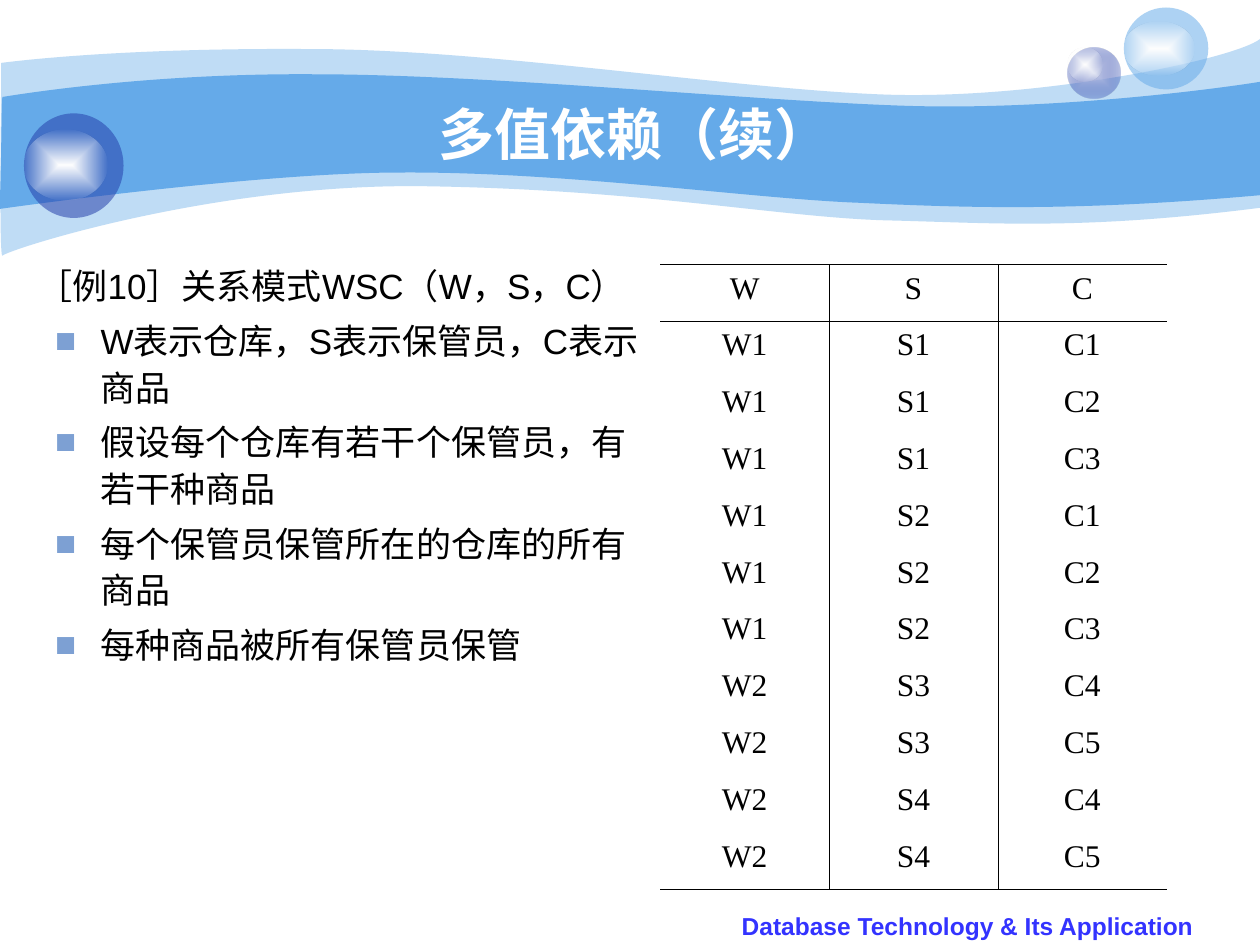
from itertools import product

from pptx import Presentation
from pptx import util as u
from pptx.dml.color import RGBColor
from pptx.enum import shapes, text
from pptx.oxml import parse_xml
from pptx.oxml.ns import nsdecls

BLACK = RGBColor(0x00, 0x00, 0x00)
WHITE = RGBColor(0xFF, 0xFF, 0xFF)
SKY = RGBColor(0x65, 0xAA, 0xE9)
NAVY = RGBColor(0x23, 0x3D, 0xA9)
LILAC = RGBColor(0xC7, 0xCE, 0xE9)
BULLET = RGBColor(0x7D, 0xA0, 0xD3)
FOOTER = RGBColor(0x33, 0x33, 0xFF)

# Each wave: start point, then Bezier curves (3 points) and straight lines (1 point).
OUTER_WAVE = (0.01, 0.5), [
    [(0.24, 0.47), (1.08, 0.38), (2.47, 0.39)],
    [(3.86, 0.39), (5.76, 0.7), (6.99, 0.75)],
    [(8.22, 0.8), (9.8, 0.47), (10, 0.31)],
    [(10, 1.65)],
    [(8.58, 1.83), (7.88, 1.77), (7.05, 1.75)],
    [(6.22, 1.73), (5.15, 1.51), (3.44, 1.48)],
    [(1.72, 1.44), (0.04, 1.99), (0.02, 2.03)],
    [(-0.01, 2.08), (0.01, 0.75), (0.01, 0.5)],
]
INNER_WAVE = (0.02, 0.77), [
    [(0.03, 0.77), (1.1, 0.58), (2.49, 0.59)],
    [(3.87, 0.59), (5.96, 0.8), (7.18, 0.84)],
    [(8.41, 0.88), (9.76, 0.69), (10, 0.65)],
    [(10, 1.55)],
    [(8.53, 1.68), (7.66, 1.65), (6.82, 1.61)],
    [(5.99, 1.58), (4.47, 1.36), (3.17, 1.37)],
    [(2.03, 1.37), (-0.02, 1.66), (-0.01, 1.66)],
    [(0.01, 1.66), (0.01, 0.77), (0.02, 0.77)],
]

INTRO = "［例10］关系模式WSC（W，S，C）"
POINTS = [
    "W表示仓库，S表示保管员，C表示商品",
    "假设每个仓库有若干个保管员，有若干种商品",
    "每个保管员保管所在的仓库的所有商品",
    "每种商品被所有保管员保管",
]
ROWS = [
    ("W", "S", "C"),
    *product(["W1"], ["S1", "S2"], ["C1", "C2", "C3"]),
    *product(["W2"], ["S3", "S4"], ["C4", "C5"]),
]


def color_xml(color, opacity):
    alpha = f'<a:alpha val="{opacity * 1000}"/>' if opacity < 100 else ""
    return f'<a:srgbClr val="{color}">{alpha}</a:srgbClr>'


def paint(sp, *stops):
    """Fill with one (colour, opacity %) or a gradient from centre to edge."""
    if len(stops) == 1:
        xml = f'<a:solidFill {nsdecls("a")}>{color_xml(*stops[0])}</a:solidFill>'
    else:
        inner, outer = (color_xml(*stop) for stop in stops)
        xml = (f'<a:gradFill {nsdecls("a")} rotWithShape="1"><a:gsLst>'
               f'<a:gs pos="0">{inner}</a:gs><a:gs pos="100000">{outer}</a:gs></a:gsLst>'
               '<a:path path="rect"><a:fillToRect l="50000" t="50000" r="50000" b="50000"/>'
               '</a:path></a:gradFill>')
    sp._element.spPr.insert(2, parse_xml(xml))
    sp.line.fill.background()
    sp.shadow.inherit = False


def bend(sp, segments):
    """Turn each run of three line steps into one Bezier curve."""
    steps = iter(sp._element.xpath(".//a:lnTo"))
    for segment in segments:
        lines = [next(steps) for _ in segment]
        if len(lines) == 3:
            curve = parse_xml(f'<a:cubicBezTo {nsdecls("a")}/>')
            lines[0].addprevious(curve)
            for line in lines:
                curve.append(line[0])
                line.getparent().remove(line)


def add_wave(s, wave, opacity):
    start, segments = wave
    points = [(u.Inches(x), u.Inches(y)) for segment in segments for x, y in segment]
    builder = s.shapes.build_freeform(*map(u.Inches, start))
    builder.add_line_segments(points, close=True)
    sp = builder.convert_to_shape()
    bend(sp, segments)
    paint(sp, (SKY, opacity))


def add_bubble(s, ball, shine, *stops):
    group = s.shapes.add_group_shape()
    for box, fill in ((ball, stops), (shine, [(WHITE, 100), (WHITE, 0)])):
        sp = group.shapes.add_shape(shapes.MSO_SHAPE.OVAL, *map(u.Inches, box))
        paint(sp, *fill)


def add_text_box(s, box, anchor=text.MSO_ANCHOR.TOP):
    tf = s.shapes.add_textbox(*map(u.Inches, box)).text_frame
    tf.word_wrap = True
    tf.vertical_anchor = anchor
    return tf


def write(p, words, color, **font):
    r = p.add_run()
    r.text = words
    r.font.color.rgb = color
    for name, value in font.items():
        setattr(r.font, name, value)


def write_line(tf, words, color, size):
    p = tf.paragraphs[0]
    p.alignment = text.PP_ALIGN.CENTER
    write(p, words, color, size=u.Pt(size), name="Arial", bold=True)


def indent(p, left, first):
    pPr = p._p.get_or_add_pPr()
    pPr.set("marL", str(u.Inches(left)))
    pPr.set("indent", str(u.Inches(first)))
    return pPr


def add_bullet(p):
    p.level = 1
    pPr = indent(p, 0.5, -0.36)
    for xml in (f'<a:buClr {nsdecls("a")}><a:srgbClr val="{BULLET}"/></a:buClr>',
                f'<a:buFont {nsdecls("a")} typeface="Arial"/>',
                f'<a:buChar {nsdecls("a")} char="■"/>'):
        pPr.append(parse_xml(xml))


def add_body(s):
    tf = add_text_box(s, (0.2, 2.02, 4.97, 4.92))
    for i, words in enumerate([INTRO, *POINTS]):
        p = tf.add_paragraph() if i else tf.paragraphs[0]
        if i:
            add_bullet(p)
            p.space_before = u.Pt(5)
        else:
            indent(p, 0.38, -0.38)
        p.line_spacing = 1.1
        write(p, words, BLACK, size=u.Pt(20), name="Arial")


def set_borders(cell, **sides):
    """Draw the sides L, R, T, B that are true and clear the others."""
    line = f'<a:solidFill><a:srgbClr val="{BLACK}"/></a:solidFill>'
    for i, (side, shown) in enumerate(sides.items()):
        xml = (f'<a:ln{side} {nsdecls("a")} w="{u.Pt(0.45)}">'
               f'{line if shown else "<a:noFill/>"}</a:ln{side}>')
        cell._tc.get_or_add_tcPr().insert(i, parse_xml(xml))


def add_relation_table(s):
    n_rows, n_cols = len(ROWS), len(ROWS[0])
    box = map(u.Inches, (5.24, 2.1, 4.02, 4.96))
    table = s.shapes.add_table(n_rows, n_cols, *box).table
    table.first_row = table.horz_banding = False
    for i, j in product(range(n_rows), range(n_cols)):
        cell = table.cell(i, j)
        cell.fill.background()
        set_borders(cell, L=j > 0, R=j < n_cols - 1, T=i < 2, B=i in (0, n_rows - 1))
        p = cell.text_frame.paragraphs[0]
        p.alignment = text.PP_ALIGN.CENTER
        write(p, ROWS[i][j], BLACK, size=u.Pt(18), name="Times New Roman")


def main():
    prs = Presentation()
    prs.slide_width, prs.slide_height = u.Inches(10), u.Inches(7.5)
    s = prs.slides.add_slide(prs.slide_layouts[6])

    add_wave(s, OUTER_WAVE, 41)
    add_wave(s, INNER_WAVE, 100)
    add_bubble(s, (8.47, 0.38, 0.42, 0.4), (8.47, 0.38, 0.28, 0.27), (LILAC, 100), (NAVY, 31))
    add_bubble(s, (8.92, 0.06, 0.67, 0.65), (8.92, 0.17, 0.56, 0.43), (SKY, 53))
    add_bubble(s, (0.19, 0.9, 0.79, 0.83), (0.19, 1.03, 0.66, 0.56), (NAVY, 53))

    title = add_text_box(s, (1, 0.75, 8.08, 0.62), text.MSO_ANCHOR.MIDDLE)
    write_line(title, "多值依赖（续）", WHITE, 32)
    add_body(s)
    add_relation_table(s)
    footer = add_text_box(s, (5.71, 7.18, 3.94, 0.35))
    write_line(footer, "Database Technology & Its Application", FOOTER, 14)

    prs.save("out.pptx")


if __name__ == "__main__":
    main()
